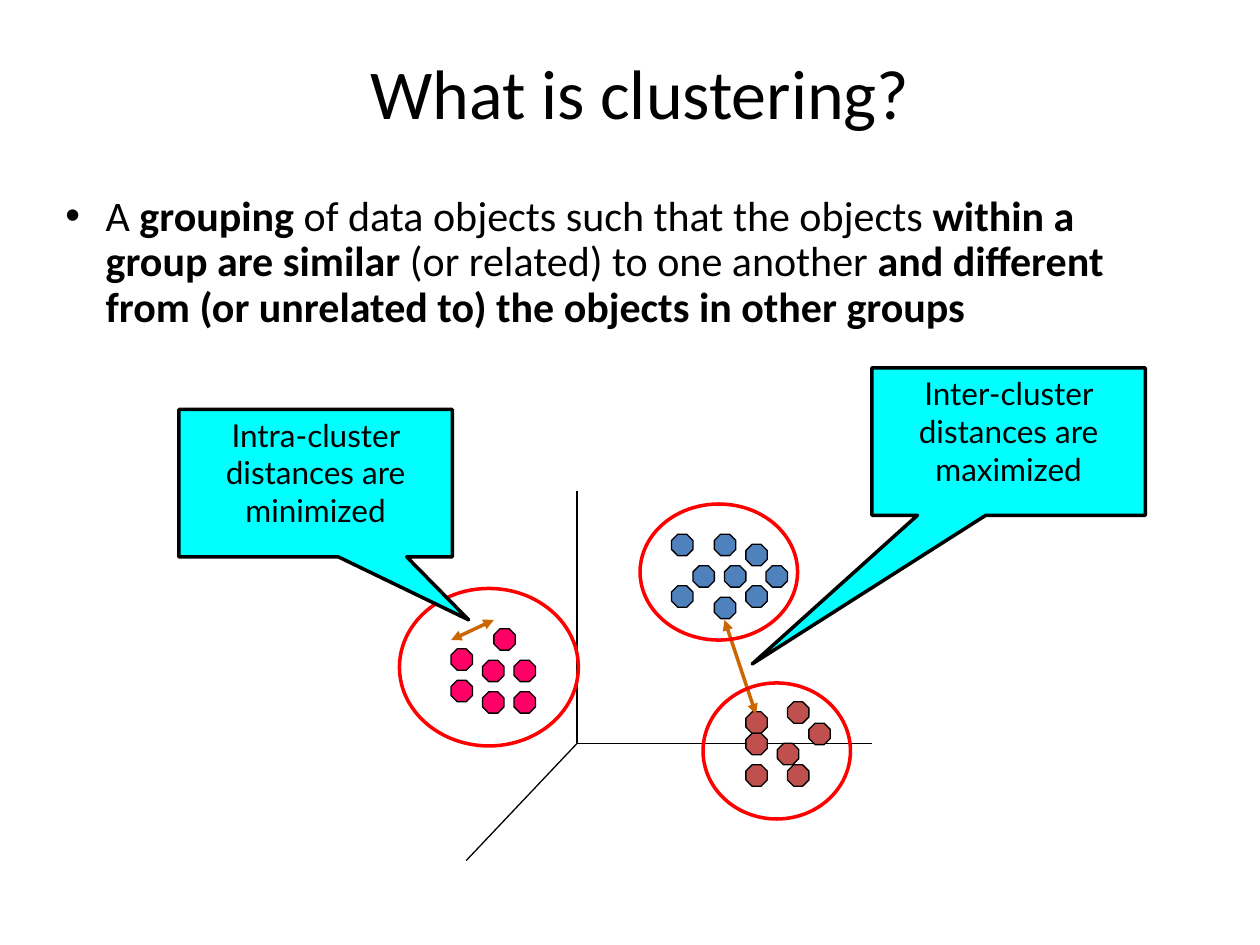
import pptx
import pptx.util
import pptx.dml.color
import pptx.enum.shapes
import pptx.enum.text
import pptx.oxml.ns
import lxml.etree

Inches = pptx.util.Inches
RGBColor = pptx.dml.color.RGBColor
SHAPE = pptx.enum.shapes.MSO_SHAPE
ALIGN = pptx.enum.text.PP_ALIGN
ANCHOR = pptx.enum.text.MSO_ANCHOR

BLACK = RGBColor(0, 0, 0)
BLUE = RGBColor(0x4F, 0x81, 0xBD)
PINK = RGBColor(0xFF, 0x00, 0x66)
BRICK = RGBColor(0xC0, 0x50, 0x4D)
RED = RGBColor(0xFF, 0, 0)
CYAN = RGBColor(0, 0xFF, 0xFF)
ORANGE = RGBColor(0xCC, 0x66, 0x00)

DOT = 0.17
BLUE_DOTS = [(5.5, 4.49), (5.75, 4.49), (5.67, 4.24), (5.67, 4.74), (6.08, 4.49),
             (5.92, 4.32), (5.33, 4.24), (5.92, 4.65), (5.33, 4.65)]
PINK_DOTS = [(3.58, 5.15), (3.83, 5.24), (3.83, 5.49), (4.08, 5.24),
             (3.92, 4.99), (4.08, 5.49), (3.58, 5.4)]
BRICK_DOTS = [(5.92, 5.65), (6.42, 5.74), (6.17, 5.9), (5.92, 6.07),
              (6.25, 6.07), (5.92, 5.82), (6.25, 5.57)]
RINGS = [(3.17, 4.67, 1.42, 1.25), (5.08, 4, 1.25, 1.08), (5.58, 5.42, 1.17, 1.08)]
ORIGIN = (4.58, 5.9)
AXES = [(4.58, 3.9), (6.92, 5.9), (3.7, 6.83)]


def add_tag(node, name, **attrs):
    return lxml.etree.SubElement(node, pptx.oxml.ns.qn(name), **attrs)


def write(frame, runs, size=18, font="Calibri", align=ALIGN.LEFT, anchor=ANCHOR.TOP):
    frame.word_wrap = True
    frame.vertical_anchor = anchor
    para = frame.paragraphs[0]
    para.alignment = align
    for text, bold in runs:
        run = para.add_run()
        run.text = text
        run.font.size = pptx.util.Pt(size)
        run.font.name = font
        run.font.bold = bold
        run.font.color.rgb = BLACK
    return para


def add_text(slide, box, runs, **style):
    frame = slide.shapes.add_textbox(*map(Inches, box)).text_frame
    return write(frame, runs, **style)


def add_bullet(para, indent):
    para.line_spacing = 0.9
    para.space_before = pptx.util.Pt(6)
    props = para._p.get_or_add_pPr()
    props.set("marL", str(Inches(indent)))
    props.set("indent", str(-Inches(indent)))
    add_tag(props, "a:buFont", typeface="Arial")
    add_tag(props, "a:buChar", char="•")


def add_shape(slide, kind, box, fill=None, line=BLACK, width=0.75):
    shape = slide.shapes.add_shape(kind, *map(Inches, box))
    shape.shadow.inherit = False
    if fill is None:
        shape.fill.background()
    else:
        shape.fill.solid()
        shape.fill.fore_color.rgb = fill
    shape.line.color.rgb = line
    shape.line.width = pptx.util.Pt(width)
    return shape


def add_dots(slide, spots, fill):
    for left, top in spots:
        dot = add_shape(slide, SHAPE.OCTAGON, (left, top, DOT, DOT), fill)
        dot.adjustments[0] = 0.29


def add_line(slide, start, end, color=BLACK, width=0.75, arrows=False):
    kind = pptx.enum.shapes.MSO_CONNECTOR.STRAIGHT
    line = slide.shapes.add_connector(kind, *map(Inches, start + end))
    line.line.color.rgb = color
    line.line.width = pptx.util.Pt(width)
    if arrows:
        for name in ("a:headEnd", "a:tailEnd"):
            add_tag(line.line._get_or_add_ln(), name, type="triangle")
    add_tag(line._element.spPr, "a:effectLst")


def add_callout(slide, left, top, tip, text):
    width, height = 2.17, 1.17
    box = (left, top, width, height)
    shape = add_shape(slide, SHAPE.RECTANGULAR_CALLOUT, box, CYAN, width=2)
    shape.adjustments[0] = (tip[0] - left) / width - 0.5
    shape.adjustments[1] = (tip[1] - top) / height - 0.5
    write(shape.text_frame, [(text, False)], font="Lato", align=ALIGN.CENTER)


def main():
    deck = pptx.Presentation()
    deck.slide_width = Inches(10)
    deck.slide_height = Inches(7.5)
    slide = deck.slides.add_slide(deck.slide_layouts[6])

    add_text(slide, (0.58, 0.33, 9, 0.8), [("What is clustering?", False)],
             size=40, align=ALIGN.CENTER, anchor=ANCHOR.MIDDLE)
    body = add_text(slide, (0.42, 1.5, 9, 1.24), [
        ("A ", False),
        ("grouping", True),
        (" of data objects such that the objects ", False),
        ("within a group are similar", True),
        (" (or related) to one another ", False),
        ("and different from (or unrelated to) the objects in other groups", True),
    ], size=24)
    add_bullet(body, 0.32)

    for end in AXES:
        add_line(slide, ORIGIN, end)
    add_dots(slide, BLUE_DOTS, BLUE)
    add_dots(slide, PINK_DOTS, PINK)
    add_dots(slide, BRICK_DOTS, BRICK)

    add_line(slide, (6, 5.67), (5.75, 4.92), ORANGE, 2, arrows=True)
    add_callout(slide, 6.92, 2.92, (5.97, 5.27), "Inter-cluster distances are maximized")
    for box in RINGS:
        add_shape(slide, SHAPE.OVAL, box, line=RED, width=2)
    add_line(slide, (3.58, 5.08), (3.92, 4.92), ORANGE, 2, arrows=True)
    add_callout(slide, 1.42, 3.25, (3.72, 4.92), "Intra-cluster distances are minimized")

    deck.save("out.pptx")


if __name__ == "__main__":
    main()
